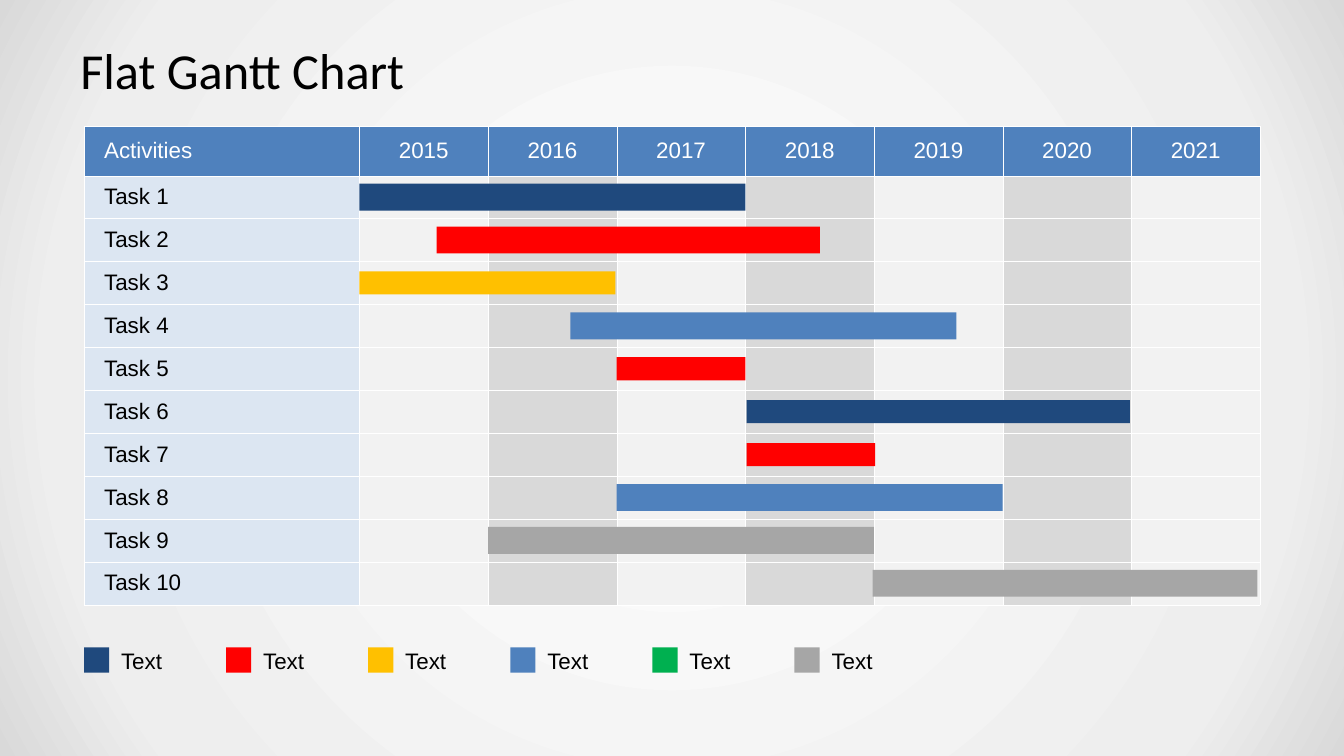
"""Build a Gantt chart slide: ten tasks over seven years, with a colour legend."""
from pptx import Presentation, oxml, util as u
from pptx.dml import color
from pptx.enum import shapes, text
from pptx.oxml import ns

COLOURS = {
    "navy": "1F497D", "red": "FF0000", "amber": "FFC000", "blue": "4F81BD",
    "green": "00B050", "grey": "A6A6A6", "pale blue": "DCE6F2",
    "light": "F2F2F2", "dark": "D9D9D9", "white": "FFFFFF", "black": "000000",
}
BACKDROP = [(0, "FFFFFF"), (81, "EEEEEE"), (100, "D9D9D9")]
TITLE = "Flat Gantt Chart"
HEADING = "Activities"
YEARS = range(2015, 2022)
TALL, SLIM = 19.2, 16.5
TASKS = [
    ("Task 1", "navy", 0, 3, TALL),
    ("Task 2", "red", 0.6, 2.98, TALL),
    ("Task 3", "amber", 0, 1.99, SLIM),
    ("Task 4", "blue", 1.64, 3, TALL),
    ("Task 5", "red", 2, 1, SLIM),
    ("Task 6", "navy", 3.01, 2.98, SLIM),
    ("Task 7", "red", 3.01, 1, SLIM),
    ("Task 8", "blue", 2, 3, TALL),
    ("Task 9", "grey", 1, 3, TALL),
    ("Task 10", "grey", 3.99, 2.99, TALL),
]
LEGEND = [(name, "Text") for name in ("navy", "red", "amber", "blue", "green", "grey")]

LEFT, TOP = 60, 90
NAME_WIDTH, YEAR_WIDTH = 196.7, 91.9
HEAD_HEIGHT, ROW_HEIGHT = 35.5, 30.65
SWATCH, LEGEND_TOP, LEGEND_STEP = 18, 462.4, 101.5


def rgb(name):
    return color.RGBColor.from_string(COLOURS[name])


def write(frame, words, size, font, colour, align=text.PP_ALIGN.LEFT):
    frame.text = words
    line = frame.paragraphs[0]
    line.alignment = align
    style = line.runs[0].font
    style.size, style.name, style.bold = u.Pt(size), font, False
    style.color.rgb = rgb(colour)


def add_block(parent, colour, left, top, width, height):
    block = parent.add_shape(shapes.MSO_SHAPE.RECTANGLE,
                             u.Pt(left), u.Pt(top), u.Pt(width), u.Pt(height))
    block.shadow.inherit = False
    block.fill.solid()
    block.fill.fore_color.rgb = rgb(colour)
    block.line.fill.background()


def fill_cell(cell, colour):
    for side in "LRTB":
        cell._tc.get_or_add_tcPr().append(oxml.parse_xml(
            f'<a:ln{side} {ns.nsdecls("a")} w="3175"><a:solidFill>'
            f'<a:srgbClr val="{COLOURS["white"]}"/></a:solidFill></a:ln{side}>'))
    cell.fill.solid()
    cell.fill.fore_color.rgb = rgb(colour)
    cell.vertical_anchor = text.MSO_ANCHOR.MIDDLE


def paint_backdrop(slide):
    slide.background.fill.gradient()
    stops = "".join(f'<a:gs pos="{place * 1000}"><a:srgbClr val="{shade}"/></a:gs>'
                    for place, shade in BACKDROP)
    gradient = oxml.parse_xml(
        f'<a:gradFill {ns.nsdecls("a")} rotWithShape="1"><a:gsLst>{stops}</a:gsLst>'
        '<a:path path="circle"><a:fillToRect l="50000" t="50000" r="50000" b="50000"/>'
        '</a:path></a:gradFill>')
    plain = slide.element.find(".//" + ns.qn("a:gradFill"))
    plain.getparent().replace(plain, gradient)


def add_title(slide):
    title = slide.shapes.add_textbox(u.Pt(48), u.Pt(21.6), u.Pt(864), u.Pt(56.2))
    frame = title.text_frame
    frame.word_wrap = True
    frame.vertical_anchor = text.MSO_ANCHOR.MIDDLE
    frame.margin_left = frame.margin_right = u.Pt(9.4)
    write(frame, TITLE, 36, "Calibri", "black")


def add_grid(slide):
    widths = [NAME_WIDTH] + [YEAR_WIDTH] * len(YEARS)
    heights = [HEAD_HEIGHT] + [ROW_HEIGHT] * len(TASKS)
    grid = slide.shapes.add_table(len(heights), len(widths), u.Pt(LEFT), u.Pt(TOP),
                                  u.Pt(sum(widths)), u.Pt(sum(heights))).table
    for column, width in zip(grid.columns, widths):
        column.width = u.Pt(width)
    for row, height in zip(grid.rows, heights):
        row.height = u.Pt(height)
    names = [HEADING] + [task[0] for task in TASKS]
    for r, name in enumerate(names):
        for c in range(len(widths)):
            band = "pale blue" if c == 0 else "light" if c % 2 else "dark"
            fill_cell(grid.cell(r, c), band if r else "blue")
        label = grid.cell(r, 0)
        label.margin_left = u.Pt(14.4)
        write(label.text_frame, name, 16, "Arial", "black" if r else "white")
    for c, year in enumerate(YEARS, 1):
        write(grid.cell(0, c).text_frame, str(year), 16, "Arial", "white",
              text.PP_ALIGN.CENTER)


def add_bars(slide):
    for row, (_, colour, start, years, height) in enumerate(TASKS):
        middle = TOP + HEAD_HEIGHT + (row + 0.5) * ROW_HEIGHT
        add_block(slide.shapes, colour, LEFT + NAME_WIDTH + start * YEAR_WIDTH,
                  middle - height / 2, years * YEAR_WIDTH, height)


def add_legend(slide):
    for i, (colour, words) in enumerate(LEGEND):
        left = LEFT + i * LEGEND_STEP
        entry = slide.shapes.add_group_shape().shapes
        add_block(entry, colour, left, LEGEND_TOP, SWATCH, SWATCH)
        label = entry.add_textbox(u.Pt(left + 19.4), u.Pt(LEGEND_TOP - 3.8),
                                  u.Pt(44), u.Pt(26.6))
        label.text_frame.word_wrap = False
        label.text_frame.auto_size = text.MSO_AUTO_SIZE.SHAPE_TO_FIT_TEXT
        write(label.text_frame, words, 16, "Arial", "black")


deck = Presentation()
deck.slide_width, deck.slide_height = u.Pt(960), u.Pt(540)
gantt = deck.slides.add_slide(deck.slide_layouts[6])
paint_backdrop(gantt)
add_title(gantt)
add_grid(gantt)
add_bars(gantt)
add_legend(gantt)
deck.save("out.pptx")
